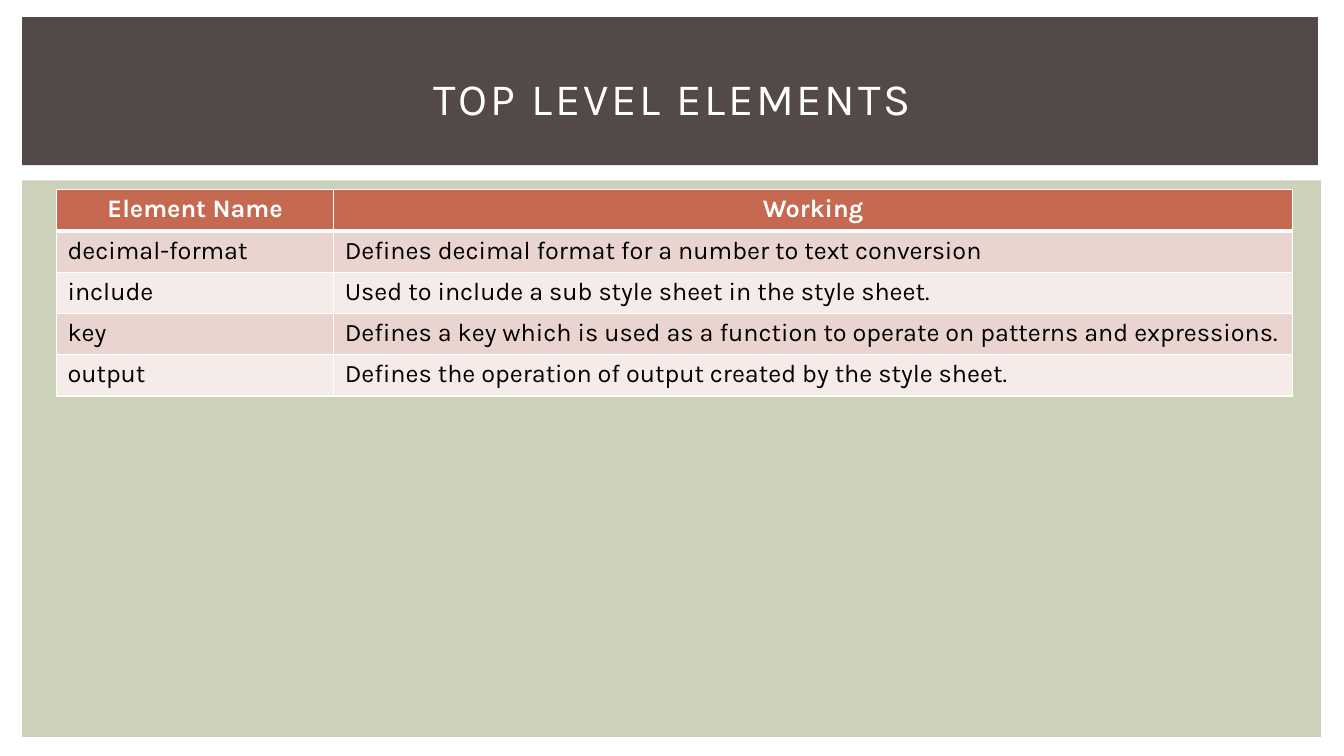
import pptx
import pptx.dml.color
import pptx.enum.shapes
import pptx.enum.text
import pptx.oxml
import pptx.oxml.ns
import pptx.util

RGBColor = pptx.dml.color.RGBColor
Inches = pptx.util.Inches
Pt = pptx.util.Pt
ALIGN = pptx.enum.text.PP_ALIGN
MIDDLE = pptx.enum.text.MSO_ANCHOR.MIDDLE

WHITE = RGBColor(0xFF, 0xFF, 0xFF)
BLACK = RGBColor(0x00, 0x00, 0x00)
SAGE = RGBColor(0xCC, 0xD1, 0xB9)
BROWN = RGBColor(0x53, 0x49, 0x49)
RUST = RGBColor(0xC6, 0x69, 0x51)
BANDS = (RGBColor(0xEA, 0xD4, 0xD0), RGBColor(0xF5, 0xEB, 0xE9))

FONT = "Karla"
MARGIN = 0.22
TABLE_LEFT = 0.56
COLUMN_WIDTHS = (2.75, 9.51)
ROW_HEIGHT = 0.41
ROWS = (
    ("Element Name", "Working"),
    ("decimal-format", "Defines decimal format for a number to text conversion"),
    ("include", "Used to include a sub style sheet in the style sheet."),
    ("key", "Defines a key which is used as a function to operate on patterns and expressions."),
    ("output", "Defines the operation of output created by the style sheet."),
)


def add_panel(slide, left, top, width, height, color):
    panel = slide.shapes.add_shape(
        pptx.enum.shapes.MSO_SHAPE.RECTANGLE,
        Inches(left), Inches(top), Inches(width), Inches(height))
    panel.shadow.inherit = False
    panel.fill.solid()
    panel.fill.fore_color.rgb = color
    panel.line.fill.background()


def style_paragraph(paragraph, size, color, align, bold=False):
    paragraph.alignment = align
    font = paragraph.font
    font.name, font.size, font.bold = FONT, Pt(size), bold
    font.color.rgb = color


def add_title(slide, text):
    title = slide.shapes.add_textbox(
        Inches(TABLE_LEFT), Inches(0.39), Inches(12.22), Inches(1.15))
    frame = title.text_frame
    frame.word_wrap = True
    frame.vertical_anchor = MIDDLE
    heading = frame.paragraphs[0]
    heading.text = text
    style_paragraph(heading, 32, WHITE, ALIGN.CENTER)
    heading.runs[0].font._element.set("spc", "200")


def set_borders(cell, **widths):
    properties = cell._tc.get_or_add_tcPr()
    for side in "LRTB":
        properties.append(pptx.oxml.parse_xml(
            f'<a:ln{side} {pptx.oxml.ns.nsdecls("a")} w="{Pt(widths.get(side, 1))}">'
            f'<a:solidFill><a:srgbClr val="{WHITE}"/></a:solidFill></a:ln{side}>'))


def fill_cell(cell, text, row):
    header = row == 0
    set_borders(cell, **({"B": 3} if header else {"T": 3} if row == 1 else {}))
    cell.fill.solid()
    cell.fill.fore_color.rgb = RUST if header else BANDS[(row - 1) % len(BANDS)]
    cell.margin_left = cell.margin_right = Inches(0.11)
    cell.margin_top = cell.margin_bottom = Inches(0.05)
    cell.text = text
    style_paragraph(cell.text_frame.paragraphs[0], 18, WHITE if header else BLACK,
                    ALIGN.CENTER if header else ALIGN.LEFT, header)


def add_element_table(slide):
    elements = slide.shapes.add_table(
        len(ROWS), len(COLUMN_WIDTHS), Inches(TABLE_LEFT), Inches(1.88),
        Inches(sum(COLUMN_WIDTHS)), Inches(ROW_HEIGHT * len(ROWS))).table
    for column, width in zip(elements.columns, COLUMN_WIDTHS):
        column.width = Inches(width)
    for row, texts in enumerate(ROWS):
        elements.rows[row].height = Inches(ROW_HEIGHT)
        for column, text in enumerate(texts):
            fill_cell(elements.cell(row, column), text, row)


def main():
    deck = pptx.Presentation()
    deck.slide_width, deck.slide_height = Inches(13.33), Inches(7.5)
    slide = deck.slides.add_slide(deck.slide_layouts[6])
    add_panel(slide, MARGIN, 1.79, 12.88, 5.52, SAGE)
    add_panel(slide, MARGIN, 0.17, 12.85, 1.47, BROWN)
    add_element_table(slide)
    add_title(slide, "TOP LEVEL ELEMENTS")
    deck.save("out.pptx")


main()
